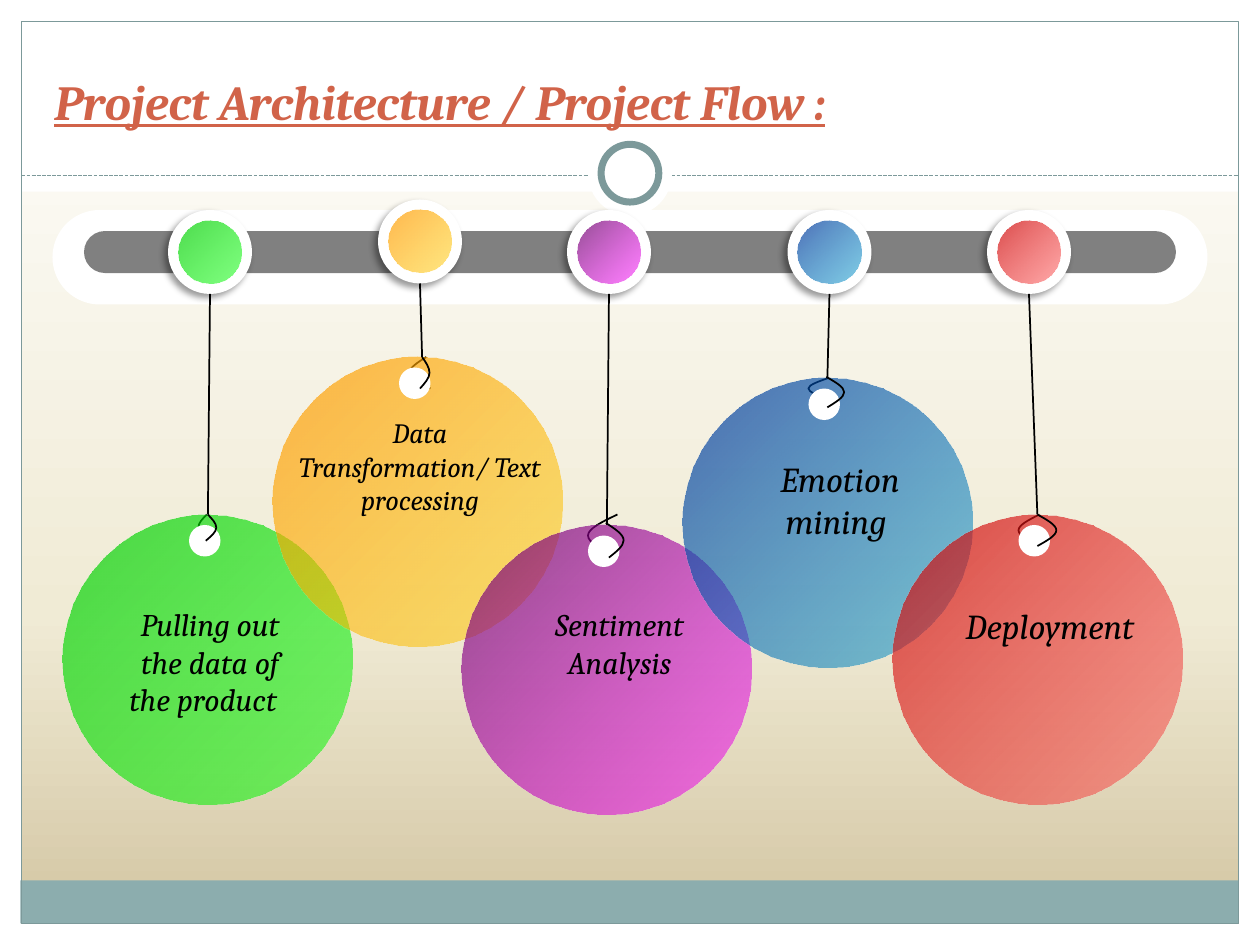
"""Build the project flow slide: five discs hanging from a rail, on a grid of 120 by 90."""
import copy

import lxml.etree
import pptx
import pptx.dml.color
import pptx.enum.dml
import pptx.enum.shapes
import pptx.enum.text
import pptx.oxml.ns
import pptx.util

RGB = pptx.dml.color.RGBColor
WHITE = RGB(0xFF, 0xFF, 0xFF)
BLACK = RGB(0x00, 0x00, 0x00)
CREAM = RGB(0xF0, 0xEB, 0xD5)
SAND = RGB(0xD1, 0xC3, 0x9F)
TEAL = RGB(0x7C, 0x99, 0x9A)
FOOTER = RGB(0x8C, 0xAD, 0xAE)
RUST = RGB(0xD1, 0x63, 0x49)
GREY = RGB(0x80, 0x80, 0x80)
SHAPE = pptx.enum.shapes.MSO_SHAPE
STRAIGHT = pptx.enum.shapes.MSO_CONNECTOR.STRAIGHT
CELL = pptx.util.Inches(10) / 120
DISC, PIN, KNOB, DOT = 27.6, 3, 8, 6
qn = pptx.oxml.ns.qn


def add_part(shapes, kind, box, fill=None, line=None, width=0.75):
    """Add a preset shape; a pair of colours as fill gives a translucent gradient."""
    part = shapes.add_shape(kind, *(round(v * CELL) for v in box))
    part.shadow.inherit = False
    if fill is None:
        part.fill.background()
    elif isinstance(fill, list):
        part.fill.gradient()
        part.fill.gradient_angle = 315
        for stop, colour in zip(part.fill.gradient_stops, fill):
            stop.color.rgb = colour
        for tint, opacity in zip(part._element.spPr.iter(qn("a:srgbClr")), (70, 50)):
            lxml.etree.SubElement(tint, qn("a:alpha"), val=str(opacity * 1000))
    else:
        part.fill.solid()
        part.fill.fore_color.rgb = fill
    if line is None:
        part.line.fill.background()
    else:
        part.line.color.rgb = line
        part.line.width = pptx.util.Pt(width)
    return part


def add_hook(shapes, column, row, bend):
    """Draw half a hook as two Bezier curves that meet at its widest column."""
    lift, start, widest, end, height = bend
    shares = [(start, 0), ((start + widest) / 2, 1 / 6), (widest, 1 / 3), (widest, 1 / 2),
              (widest, 2 / 3), ((widest + end) / 2, 5 / 6), (end, 1)]
    points = [(round((column + x) * CELL), round((row + lift + height * y) * CELL))
              for x, y in shares]
    builder = shapes.build_freeform(*points[0], scale=1.0)
    builder.add_line_segments(points[1:], close=False)
    hook = builder.convert_to_shape()
    hook.shadow.inherit = False
    hook.fill.background()
    hook.line.color.rgb = BLACK
    hook.line.width = pptx.util.Pt(1)
    outline = next(hook._element.iter(qn("a:path")))
    segments = outline.findall(qn("a:lnTo"))
    for first in (0, 3):
        curve = lxml.etree.SubElement(outline, qn("a:cubicBezTo"))
        for segment in segments[first:first + 3]:
            curve.append(segment[0])
            outline.remove(segment)


deck = pptx.Presentation()
deck.slide_width = pptx.util.Inches(10)
deck.slide_height = pptx.util.Inches(7.5)
slide = deck.slides.add_slide(deck.slide_layouts[6])

backdrop = slide.background.fill
backdrop.gradient()
backdrop.gradient_angle = 270
first_stop = slide._element.find(".//" + qn("a:gs"))
first_stop.addnext(copy.deepcopy(first_stop))
for stop, colour, position in zip(backdrop.gradient_stops, (WHITE, CREAM, SAND), (0, 0.65, 1)):
    stop.color.rgb = colour
    stop.position = position

for margin in [(0, 88, 120, 2), (0, 0, 120, 18.25), (0, 0, 2, 90), (118, 0, 2, 90)]:
    add_part(slide.shapes, SHAPE.RECTANGLE, margin, WHITE)
add_part(slide.shapes, SHAPE.RECTANGLE, (1.95, 83.85, 116, 4.1), FOOTER)
add_part(slide.shapes, SHAPE.RECTANGLE, (2.04, 2.04, 115.92, 85.92), None, TEAL)
divider = slide.shapes.add_connector(
    STRAIGHT, *(round(v * CELL) for v in (2.04, 16.75, 117.96, 16.75)))
divider.line.color.rgb = TEAL
divider.line.width = pptx.util.Pt(0.75)
divider.line.dash_style = pptx.enum.dml.MSO_LINE.SQUARE_DOT
lines = [divider]
add_part(slide.shapes, SHAPE.OVAL, (56, 12.55, 8, 8), WHITE)
add_part(slide.shapes, SHAPE.OVAL, (57.25, 13.75, 5.5, 5.5), WHITE, TEAL, 4)

stages = [
    ("Pulling out the data of the product  ", 18, "00CC00", "00FF00", (6, 49), (16, 20),
     19.8, (10, 57, 20, 12.1), (0, -0.1, -0.9, 0.2, 2.4), (0, 0, 0.8, -0.2, 2.5)),
    ("Data Transformation/ Text processing", 16, "FF9900", "FFCC00", (26, 34), (36, 19),
     40.2, (27, 39, 26, 10.9), (0, 0.4, -1.2, 0.8, 3), (0, 0, 0.7, -0.2, 3)),
    ("Sentiment Analysis", 18, "660066", "FF00FF", (44, 50), (54, 20),
     57.8, (49, 57, 20, 8.5), (-1, 1, -1.8, 0.8, 4), (-0.2, -0.1, 1.6, 0.2, 3.3)),
    ("Emotion mining ", 20, "003399", "0099CC", (65, 36), (75, 20),
     78.8, (70, 43, 20, 9.2), (0, 0.1, -1.8, 0, 2), (-0.1, -0.1, 1.6, 0, 2.9)),
    ("Deployment", 20, "CC0000", "FF5050", (85, 49), (94, 20),
     98.8, (87, 57, 26, 5.3), (0, 0.2, -1.8, 0.2, 3), (0, 0, 1.8, 0, 3)),
]
for *_, disc_at, knob_at, hook_column, label_box, back_bend, front_bend in reversed(stages):
    add_hook(slide.shapes, hook_column, disc_at[1], back_bend)

heading = slide.shapes.add_textbox(*(round(v * CELL) for v in (4, 3, 112, 10))).text_frame
heading.word_wrap = True
heading.vertical_anchor = pptx.enum.text.MSO_ANCHOR.BOTTOM
title = heading.paragraphs[0]
title.text = "Project Architecture / Project Flow :"
title.font.name = "Cambria"
title.font.size = pptx.util.Pt(28)
title.font.bold = title.font.italic = title.font.underline = True
title.font.color.rgb = RUST

for rail_box, rail_colour in [((5, 20, 110, 9), WHITE), ((8, 22, 104, 4), GREY)]:
    rail = add_part(slide.shapes, SHAPE.ROUNDED_RECTANGLE, rail_box, rail_colour)
    rail.adjustments[0] = 0.5

for (label, size, dark, light, (disc_x, disc_y), (knob_x, knob_y),
     hook_column, label_box, back_bend, front_bend) in stages:
    pendant = slide.shapes.add_group_shape().shapes
    tints = [RGB.from_string(dark), RGB.from_string(light)]
    add_part(pendant, SHAPE.OVAL, (disc_x, disc_y, DISC, DISC), tints)
    add_part(pendant, SHAPE.OVAL, (disc_x + 12, disc_y + 1, PIN, PIN), WHITE)
    knob = add_part(pendant, SHAPE.OVAL, (knob_x, knob_y, KNOB, KNOB), WHITE)
    shadow = lxml.etree.SubElement(
        knob._element.spPr.find(qn("a:effectLst")), qn("a:outerShdw"),
        blurRad=str(pptx.util.Pt(4)), dist=str(pptx.util.Pt(3)), dir=str(135 * 60000))
    shade = lxml.etree.SubElement(shadow, qn("a:srgbClr"), val=str(BLACK))
    lxml.etree.SubElement(shade, qn("a:alpha"), val="40000")
    add_part(pendant, SHAPE.OVAL, (knob_x + 1, knob_y + 1, DOT, DOT), tints)
    cord = pendant.add_connector(STRAIGHT, *(
        round(v * CELL) for v in (knob_x + KNOB / 2, knob_y + KNOB, hook_column, disc_y)))
    cord.line.color.rgb = BLACK
    cord.line.width = pptx.util.Pt(1)
    lines.append(cord)
    add_hook(pendant, hook_column, disc_y, front_bend)
    caption = pendant.add_textbox(*(round(v * CELL) for v in label_box)).text_frame
    caption.word_wrap = True
    paragraph = caption.paragraphs[0]
    paragraph.text = label
    paragraph.alignment = pptx.enum.text.PP_ALIGN.CENTER
    paragraph.font.name = "Cambria"
    paragraph.font.size = pptx.util.Pt(size)
    paragraph.font.italic = True
    paragraph.font.color.rgb = BLACK

for line in lines:
    lxml.etree.SubElement(line._element.spPr, qn("a:effectLst"))

deck.save("out.pptx")
